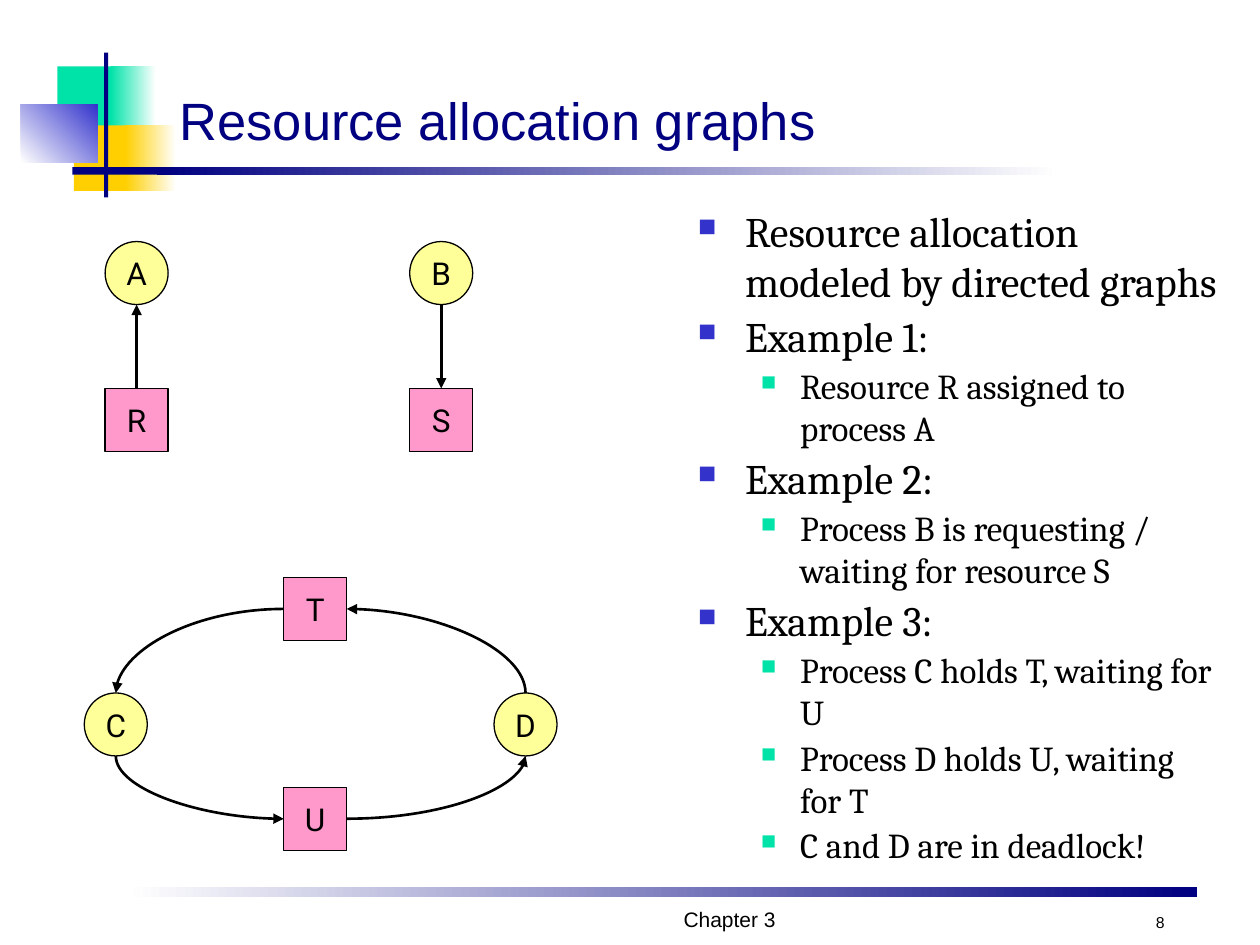
from lxml import etree
from pptx import Presentation
from pptx import util as u
from pptx.dml import color
from pptx.enum import shapes, text
from pptx.oxml import ns

COLORS = {
    "navy": "000080", "blue": "3333CC", "green": "00E3A8", "gold": "FFCF01",
    "white": "FFFFFF", "black": "000000", "pink": "FF99CC", "yellow": "FFFF99",
}
NODE = 1.27


def rgb(name):
    return color.RGBColor.from_string(COLORS[name])


def add_xml(parent, tag, **attributes):
    child = etree.SubElement(parent, ns.qn(tag))
    for key, value in attributes.items():
        child.set(key, value)
    return child


def apply(target, formats):
    for key, value in formats.items():
        setattr(target, key, value)


def style(run, face, size, ink="black"):
    apply(run.font, {"name": face, "size": u.Pt(size)})
    run.font.color.rgb = rgb(ink)


def place_block(slide, box, ink, fade=None, angle=0):
    block = slide.shapes.add_shape(shapes.MSO_SHAPE.RECTANGLE, *map(u.Cm, box))
    block.shadow.inherit = False
    block.line.fill.background()
    if not fade:
        block.fill.solid()
        block.fill.fore_color.rgb = rgb(ink)
        return
    block.fill.gradient()
    block.fill.gradient_angle = angle
    for stop, name, position in zip(block.fill.gradient_stops, (ink, fade), (0, 1)):
        stop.color.rgb = rgb(name)
        stop.position = position


def place_label(slide, box, words, face, size, ink="black", align=text.PP_ALIGN.LEFT):
    label = slide.shapes.add_textbox(*map(u.Cm, box))
    apply(label.text_frame, {"word_wrap": True, "vertical_anchor": text.MSO_ANCHOR.BOTTOM})
    paragraph = label.text_frame.paragraphs[0]
    paragraph.alignment = align
    run = paragraph.add_run()
    run.text = words
    style(run, face, size, ink)


def draw_header(slide, box):
    left, top, width, height = box
    parts = [
        ((0.74, 0.28, 1.22, 1.32), "green"),
        ((1.81, 0.28, 0.91, 1.32), "green", "white"),
        ((1.07, 1.47, 1.17, 1.32), "gold"),
        ((2.11, 1.47, 1.02, 1.32), "gold", "white"),
        ((0, 1.04, 1.55, 1.17), "white", "blue", 45),
        ((1.68, 0, 0.08, height), "navy"),
        ((1.04, 2.31, 1.91, 0.15), "navy"),
        ((2.75, 2.31, 18.19, 0.15), "navy", "white"),
    ]
    for (x, y, w, h), *fill in parts:
        place_block(slide, (left + x, top + y, w, h), *fill)
    place_label(slide, (left + 2.95, top + 0.41, width - 2.95, 1.7),
                "Resource allocation graphs", "Arial", 30, "navy")


def draw_footer(slide, box):
    left, top, width, height = box
    place_block(slide, (left, top, width, 0.2), "white", "navy")
    place_label(slide, (left + 4.65, top + 0.33, 15.04, 0.69), "Chapter 3",
                "Arial", 12, align=text.PP_ALIGN.CENTER)
    place_label(slide, (left + 20.12, top + 0.33, 1.07, 0.69), "8",
                "Arial", 9, align=text.PP_ALIGN.RIGHT)


def draw_outline(slide, box):
    levels = [
        {"size": 24, "margin": 0.95, "hang": 0.95, "bullet": "blue"},
        {"size": 20, "margin": 2.06, "hang": 0.79, "bullet": "green"},
    ]
    points = [
        (0, "Resource allocation modeled by directed graphs"),
        (0, "Example 1:"),
        (1, "Resource R assigned to process A"),
        (0, "Example 2:"),
        (1, "Process B is requesting / waiting for resource S"),
        (0, "Example 3:"),
        (1, "Process C holds T, waiting for U"),
        (1, "Process D holds U, waiting for T"),
        (1, "C and D are in deadlock!"),
    ]
    outline = slide.shapes.add_textbox(*map(u.Cm, box)).text_frame
    outline.word_wrap = True
    for index, (level, words) in enumerate(points):
        look = levels[level]
        paragraph = outline.add_paragraph() if index else outline.paragraphs[0]
        paragraph.level = level
        run = paragraph.add_run()
        run.text = words
        style(run, "Cambria", look["size"])
        props = paragraph._p.get_or_add_pPr()
        props.set("marL", str(u.Cm(look["margin"])))
        props.set("indent", str(-u.Cm(look["hang"])))
        add_xml(add_xml(props, "a:spcBef"), "a:spcPct", val="10000")
        add_xml(add_xml(props, "a:buClr"), "a:srgbClr", val=COLORS[look["bullet"]])
        add_xml(props, "a:buSzPct", val="60000")
        add_xml(props, "a:buChar", char="■")


def place_node(slide, x, y, letter, kind, ink):
    node = slide.shapes.add_shape(kind, *map(u.Cm, (x, y, NODE, NODE)))
    node.shadow.inherit = False
    node.fill.solid()
    node.fill.fore_color.rgb = rgb(ink)
    node.line.color.rgb = rgb("black")
    node.line.width = u.Pt(0.75)
    apply(node.text_frame, {"word_wrap": False, "vertical_anchor": text.MSO_ANCHOR.MIDDLE})
    paragraph = node.text_frame.paragraphs[0]
    paragraph.alignment = text.PP_ALIGN.CENTER
    run = paragraph.add_run()
    run.text = letter
    style(run, "Roboto", 18)
    return node


def side_point(node, side):
    across, down = {"top": (0.5, 0), "left": (0, 0.5),
                    "bottom": (0.5, 1), "right": (1, 0.5)}[side]
    return node.left + int(node.width * across), node.top + int(node.height * down)


def place_arrow(slide, kind, start, end):
    arrow = slide.shapes.add_connector(kind, *start, *end)
    arrow.line.color.rgb = rgb("black")
    arrow.line.width = u.Pt(1.5)
    add_xml(arrow.line._get_or_add_ln(), "a:tailEnd", type="triangle")
    add_xml(arrow._element.spPr, "a:effectLst")
    return arrow


def place_curve(slide, start, end, upright):
    if upright:
        middle_x, middle_y = (start[0] + end[0]) // 2, (start[1] + end[1]) // 2
        start, end = [(middle_x + y - middle_y, middle_y - x + middle_x)
                      for x, y in (start, end)]
    curve = place_arrow(slide, shapes.MSO_CONNECTOR.CURVE, start, end)
    props = curve._element.spPr
    props.find(ns.qn("a:prstGeom")).set("prst", "curvedConnector2")
    if upright:
        props.find(ns.qn("a:xfrm")).set("rot", "5400000")


def draw_graphs(slide, box):
    left, top, width, height = box
    far, low = width - NODE, height - NODE
    middle, ring = far / 2 - 0.11, 9.1
    resource = (shapes.MSO_SHAPE.RECTANGLE, "pink")
    process = (shapes.MSO_SHAPE.OVAL, "yellow")
    spots = {
        "R": (0.42, 2.96, resource), "A": (0.42, 0, process),
        "S": (6.56, 2.96, resource), "B": (6.56, 0, process),
        "U": (middle, low, resource), "T": (middle, 6.77, resource),
        "D": (far, ring, process), "C": (0, ring, process),
    }
    nodes = {letter: place_node(slide, left + x, top + y, letter, *look)
             for letter, (x, y, look) in spots.items()}
    straight = shapes.MSO_CONNECTOR.STRAIGHT
    assigned = place_arrow(slide, straight, side_point(nodes["R"], "top"),
                           side_point(nodes["A"], "bottom"))
    assigned.begin_connect(nodes["R"], 0)
    requested = place_arrow(slide, straight, side_point(nodes["B"], "bottom"),
                            side_point(nodes["S"], "top"))
    requested.end_connect(nodes["S"], 0)
    cycle = [("T", "left", "C", "top"), ("D", "top", "T", "right"),
             ("U", "right", "D", "bottom"), ("C", "bottom", "U", "left")]
    for giver, exit_side, taker, entry_side in cycle:
        place_curve(slide, side_point(nodes[giver], exit_side),
                    side_point(nodes[taker], entry_side), exit_side in ("top", "bottom"))


def main():
    deck = Presentation()
    apply(deck, {"slide_width": u.Cm(25.4), "slide_height": u.Cm(19.05)})
    slide = deck.slides.add_slide(deck.slide_layouts[6])
    draw_header(slide, (0.42, 1.06, 24.54, 2.92))
    draw_footer(slide, (2.54, 17.88, 21.59, 1.02))
    draw_outline(slide, (13.82, 4.02, 11.07, 13.76))
    draw_graphs(slide, (1.7, 4.87, 9.53, 12.27))
    deck.save("out.pptx")


if __name__ == "__main__":
    main()
